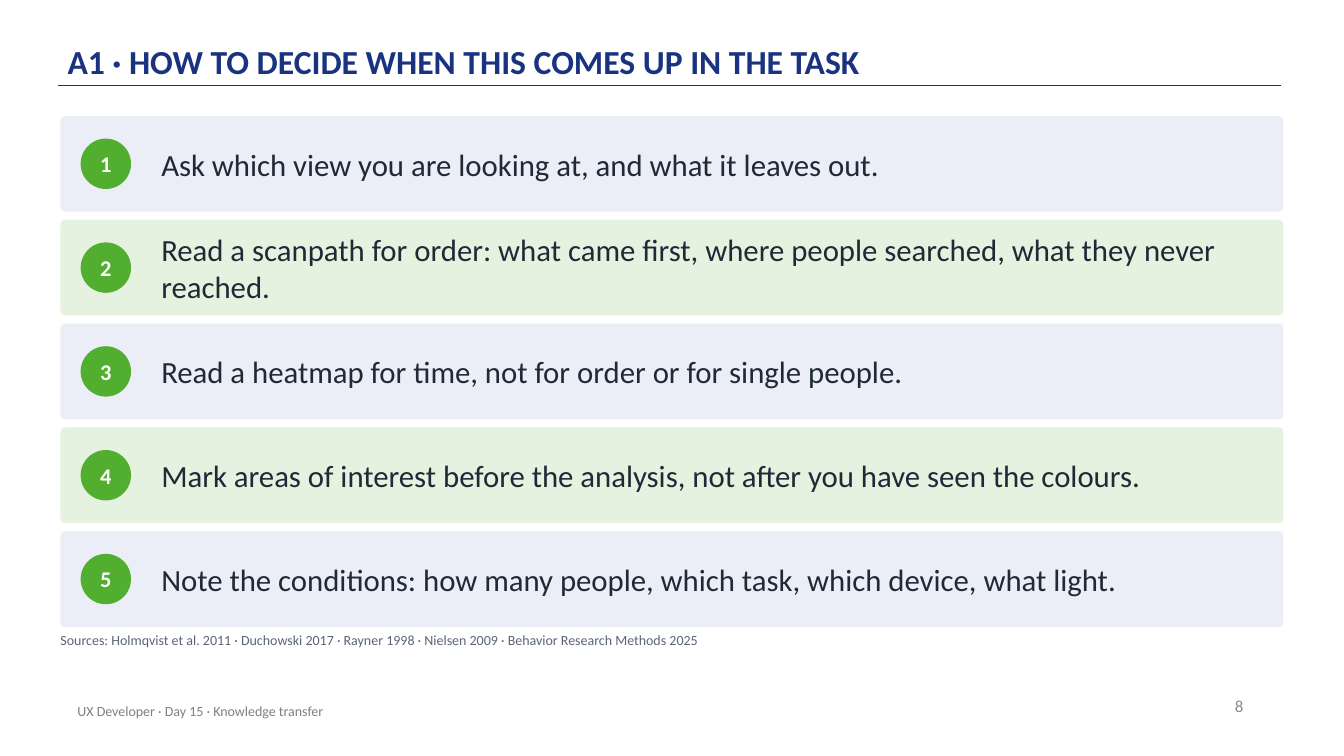
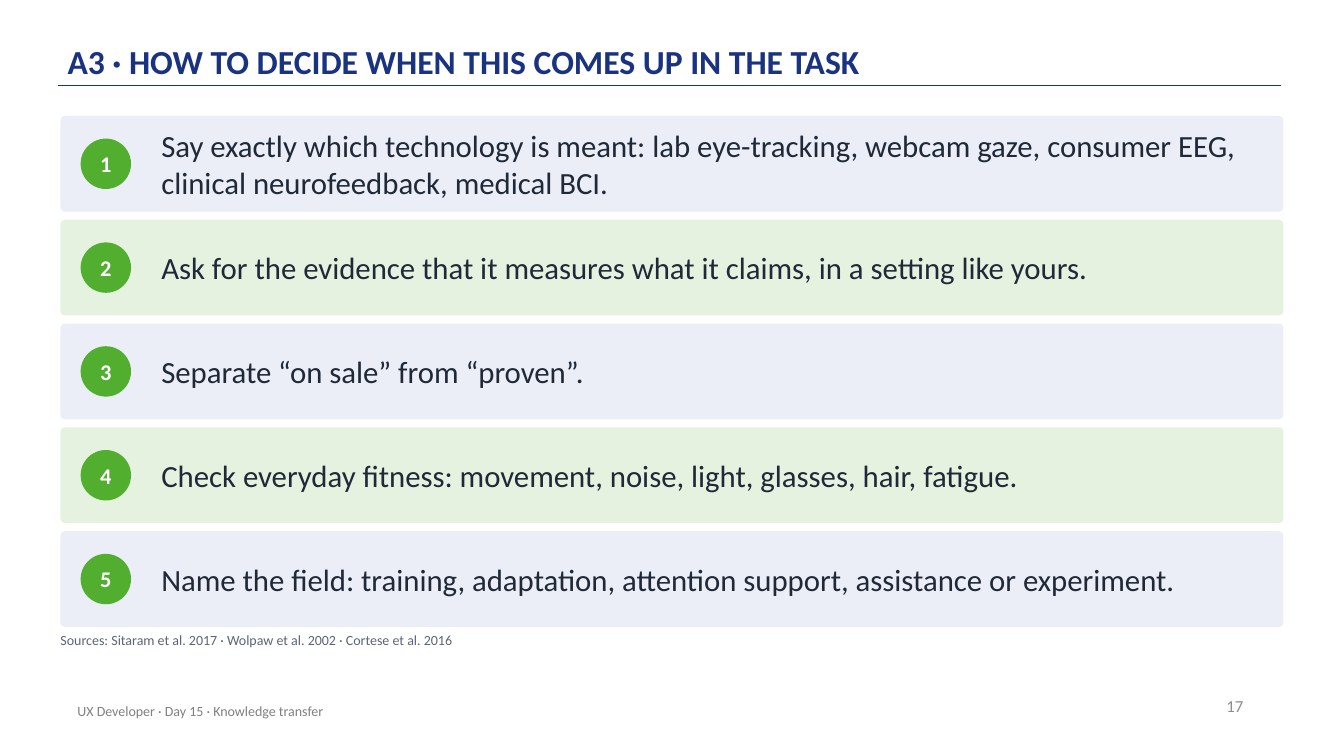
"""Build two decision-guide slides with numbered steps."""

from dataclasses import dataclass

from pptx import Presentation
from pptx.dml.color import RGBColor
from pptx.enum.shapes import MSO_CONNECTOR, MSO_SHAPE
from pptx.enum.text import MSO_ANCHOR as Anchor, PP_ALIGN as Align
from pptx.oxml.ns import qn
from pptx.shapes.autoshape import Shape
from pptx.slide import Slide
from pptx.util import Inches, Pt
from lxml.etree import SubElement

NAVY = RGBColor(0x1A, 0x33, 0x81)
GREEN = RGBColor(0x51, 0xAE, 0x2F)
PALE_BLUE = RGBColor(0xEC, 0xEE, 0xF7)
PALE_GREEN = RGBColor(0xE5, 0xF2, 0xDF)
INK = RGBColor(0x1F, 0x29, 0x37)
SLATE = RGBColor(0x5B, 0x65, 0x77)
FOOTER_GRAY = RGBColor(0x80, 0x80, 0x80)
NUMBER_GRAY = RGBColor(0x8C, 0x8C, 0x8C)
WHITE = RGBColor(0xFF, 0xFF, 0xFF)

FONT = "Calibri"
FOOTER = "UX Developer · Day 15 · Knowledge transfer"
BAND_LEFT, BAND_TOP, BAND_WIDTH, BAND_HEIGHT = 0.6, 1.15, 12.13, 0.95
BAND_PITCH = 1.03
BADGE_SIZE = 0.5


@dataclass(frozen=True)
class Box:
    left: float
    top: float
    width: float
    height: float

    def lengths(self) -> tuple[Inches, ...]:
        return tuple(Inches(value) for value in (self.left, self.top, self.width, self.height))


@dataclass(frozen=True)
class TextStyle:
    size: float
    color: RGBColor
    bold: bool = False
    align: Align = Align.LEFT
    anchor: Anchor = Anchor.MIDDLE
    inset_x: float = 0
    inset_y: float = 0
    line_spacing: float = 1.0


@dataclass(frozen=True)
class Guide:
    title: str
    number: int
    steps: tuple[str, ...]
    sources: str


TITLE_STYLE = TextStyle(24, NAVY, bold=True, anchor=Anchor.BOTTOM, inset_y=0.03, line_spacing=0.9)
NUMBER_STYLE = TextStyle(12, NUMBER_GRAY, align=Align.RIGHT, inset_x=0.1, inset_y=0.05)
FOOTER_STYLE = TextStyle(10, FOOTER_GRAY, inset_x=0.1, inset_y=0.05)
BADGE_STYLE = TextStyle(16, WHITE, bold=True, align=Align.CENTER)
STEP_STYLE = TextStyle(22, INK)
SOURCE_STYLE = TextStyle(10, SLATE, anchor=Anchor.TOP)

GUIDES = (
    Guide(
        "A1 · HOW TO DECIDE WHEN THIS COMES UP IN THE TASK",
        8,
        (
            "Ask which view you are looking at, and what it leaves out.",
            "Read a scanpath for order: what came first, where people searched, what they never reached.",
            "Read a heatmap for time, not for order or for single people.",
            "Mark areas of interest before the analysis, not after you have seen the colours.",
            "Note the conditions: how many people, which task, which device, what light.",
        ),
        "Sources: Holmqvist et al. 2011 · Duchowski 2017 · Rayner 1998 · Nielsen 2009 · Behavior Research Methods 2025",
    ),
    Guide(
        "A3 · HOW TO DECIDE WHEN THIS COMES UP IN THE TASK",
        17,
        (
            "Say exactly which technology is meant: lab eye-tracking, webcam gaze, consumer EEG, "
            "clinical neurofeedback, medical BCI.",
            "Ask for the evidence that it measures what it claims, in a setting like yours.",
            "Separate “on sale” from “proven”.",
            "Check everyday fitness: movement, noise, light, glasses, hair, fatigue.",
            "Name the field: training, adaptation, attention support, assistance or experiment.",
        ),
        "Sources: Sitaram et al. 2017 · Wolpaw et al. 2002 · Cortese et al. 2016",
    ),
)


def write_text(shape: Shape, text: str, style: TextStyle) -> None:
    frame = shape.text_frame
    frame.text = text
    frame.word_wrap = True
    frame.vertical_anchor = style.anchor
    frame.margin_left = frame.margin_right = Inches(style.inset_x)
    frame.margin_top = frame.margin_bottom = Inches(style.inset_y)
    paragraph = frame.paragraphs[0]
    paragraph.alignment = style.align
    paragraph.line_spacing = style.line_spacing
    font = paragraph.runs[0].font
    font.name = FONT
    font.size = Pt(style.size)
    font.bold = style.bold
    font.color.rgb = style.color


def add_text(slide: Slide, box: Box, text: str, style: TextStyle) -> None:
    write_text(slide.shapes.add_textbox(*box.lengths()), text, style)


def add_filled(slide: Slide, kind: MSO_SHAPE, box: Box, color: RGBColor) -> Shape:
    shape = slide.shapes.add_shape(kind, *box.lengths())
    shape.shadow.inherit = False
    shape.fill.solid()
    shape.fill.fore_color.rgb = color
    shape.line.fill.background()
    return shape


def add_frame(slide: Slide, guide: Guide) -> None:
    rule = slide.shapes.add_connector(
        MSO_CONNECTOR.STRAIGHT, Inches(0.58), Inches(0.85), Inches(12.71), Inches(0.85)
    )
    rule.line.color.rgb = NAVY
    rule.line.width = Pt(1)
    SubElement(rule._element.spPr, qn("a:effectLst"))
    add_text(slide, Box(0.67, 0.12, 11, 0.72), guide.title, TITLE_STYLE)
    add_text(slide, Box(9.43, 6.8, 3, 0.4), str(guide.number), NUMBER_STYLE)
    add_text(slide, Box(0.67, 6.85, 6.7, 0.4), FOOTER, FOOTER_STYLE)


def add_step(slide: Slide, index: int, text: str) -> None:
    top = BAND_TOP + index * BAND_PITCH
    color = PALE_GREEN if index % 2 else PALE_BLUE
    band_box = Box(BAND_LEFT, top, BAND_WIDTH, BAND_HEIGHT)
    band = add_filled(slide, MSO_SHAPE.ROUNDED_RECTANGLE, band_box, color)
    band.adjustments[0] = 0.05
    badge_top = top + (BAND_HEIGHT - BADGE_SIZE) / 2
    badge_box = Box(BAND_LEFT + 0.2, badge_top, BADGE_SIZE, BADGE_SIZE)
    badge = add_filled(slide, MSO_SHAPE.OVAL, badge_box, GREEN)
    write_text(badge, str(index + 1), BADGE_STYLE)
    add_text(slide, Box(BAND_LEFT + 1, top, BAND_WIDTH - 1.2, BAND_HEIGHT), text, STEP_STYLE)


def main() -> None:
    presentation = Presentation()
    presentation.slide_width = Inches(13.33)
    presentation.slide_height = Inches(7.5)
    for guide in GUIDES:
        slide = presentation.slides.add_slide(presentation.slide_layouts[6])
        add_frame(slide, guide)
        for index, text in enumerate(guide.steps):
            add_step(slide, index, text)
        add_text(slide, Box(BAND_LEFT, 6.27, 12.1, 0.3), guide.sources, SOURCE_STYLE)
    presentation.save("out.pptx")


if __name__ == "__main__":
    main()
